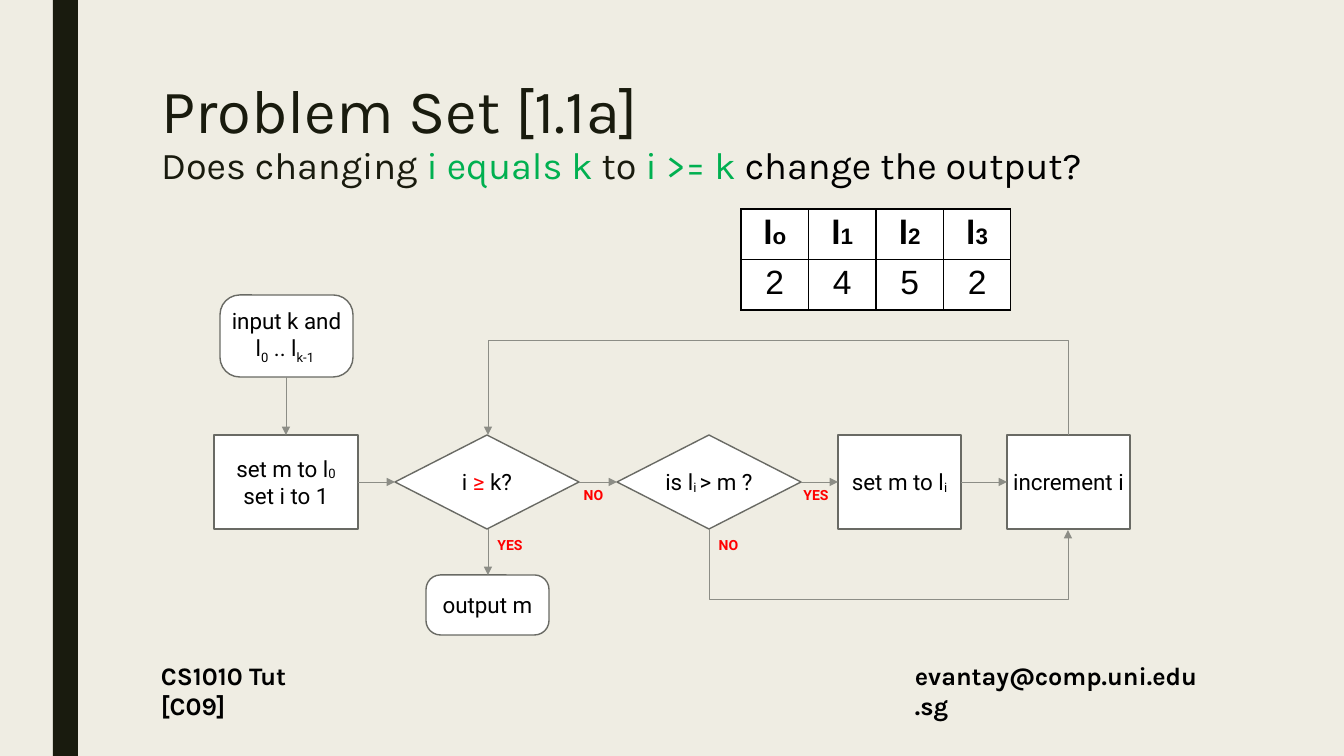
import pptx
import pptx.util
import pptx.oxml
import pptx.oxml.ns
from pptx.dml.color import RGBColor
from pptx.enum.shapes import MSO_CONNECTOR, MSO_SHAPE
from pptx.enum.text import MSO_ANCHOR, MSO_AUTO_SIZE, PP_ALIGN

PX_PER_INCH = 100.8
BACKGROUND = RGBColor(0xEF, 0xED, 0xE3)
DARK = RGBColor(0x19, 0x1B, 0x0E)
BLACK = RGBColor(0, 0, 0)
WHITE = RGBColor(0xFF, 0xFF, 0xFF)
OUTLINE = RGBColor(0x69, 0x6A, 0x64)
ARROW = RGBColor(0x8C, 0x8D, 0x86)
RED = RGBColor(0xFF, 0, 0)
GREEN = RGBColor(0, 0xB0, 0x50)


def px(n):
    return pptx.util.Emu(round(n * 914400 / PX_PER_INCH))


def box(*lengths):
    return [px(n) for n in lengths]


def add_run(p, text, size, font, color=BLACK, bold=False, baseline=0):
    r = p.add_run()
    r.text = text
    r.font.size = pptx.util.Pt(size)
    r.font.name = font
    r.font.color.rgb = color
    r.font.bold = bold
    if baseline:
        r._r.get_or_add_rPr().set("baseline", str(baseline * 1000))


def set_insets(tf, inset):
    tf.margin_left = tf.margin_right = px(inset)
    tf.margin_top = tf.margin_bottom = px(inset)


def add_title(s):
    title = s.shapes.title
    title.left, title.top, title.width, title.height = box(151, 76, 1058, 163)
    tf = title.text_frame
    tf.auto_size = MSO_AUTO_SIZE.NONE
    tf.vertical_anchor = MSO_ANCHOR.TOP
    p = tf.paragraphs[0]
    p.alignment = PP_ALIGN.LEFT
    p.line_spacing = 0.89
    add_run(p, "Problem Set [1.1a]", 44, "Karla", DARK)
    p.add_line_break()
    for text, color in (
        ("Does changing ", DARK),
        ("i equals k ", GREEN),
        ("to ", DARK),
        ("i >= k ", GREEN),
        ("change the output?", BLACK),
    ):
        add_run(p, text, 27, "Karla", color)


def add_footer(s, x, width, text):
    tf = s.shapes.add_textbox(*box(x, 655, width, 40)).text_frame
    tf.word_wrap = True
    tf.text = text
    font = tf.paragraphs[0].runs[0].font
    font.name = "Karla"
    font.size = pptx.util.Pt(18)
    font.bold = True
    font.color.rgb = BLACK


def add_step(s, kind, x, y, width, height, lines, wrap=False):
    sp = s.shapes.add_shape(kind, *box(x, y, width, height))
    sp.shadow.inherit = False
    sp.fill.solid()
    sp.fill.fore_color.rgb = WHITE
    sp.line.color.rgb = OUTLINE
    sp.line.width = pptx.util.Pt(1)
    if kind == MSO_SHAPE.ROUNDED_RECTANGLE:
        sp.adjustments[0] = 0.24
    tf = sp.text_frame
    tf.word_wrap = wrap
    tf.vertical_anchor = MSO_ANCHOR.MIDDLE
    set_insets(tf, 3)
    for i, parts in enumerate(lines):
        p = tf.add_paragraph() if i else tf.paragraphs[0]
        p.alignment = PP_ALIGN.CENTER
        for text, style in parts:
            add_run(p, text, 16, "Roboto", **style)


def add_label(s, x, y, width, text):
    tf = s.shapes.add_textbox(*box(x, y, width, 23)).text_frame
    tf.word_wrap = False
    tf.vertical_anchor = MSO_ANCHOR.MIDDLE
    set_insets(tf, 3)
    p = tf.paragraphs[0]
    p.alignment = PP_ALIGN.CENTER
    add_run(p, text, 10, "Roboto", RED, bold=True)


def style_arrow(sp):
    sp.line.color.rgb = ARROW
    sp.line.width = pptx.util.Pt(0.5)
    ln = sp.line._get_or_add_ln()
    tail = pptx.oxml.ns.qn("a:tailEnd")
    ln.append(ln.makeelement(tail, {"type": "triangle"}))


def add_arrow(s, x1, y1, x2, y2):
    cx = s.shapes.add_connector(MSO_CONNECTOR.STRAIGHT, *box(x1, y1, x2, y2))
    style_arrow(cx)
    spPr = cx._element.spPr
    spPr.append(spPr.makeelement(pptx.oxml.ns.qn("a:effectLst"), {}))


def add_route(s, start, *bends):
    fb = s.shapes.build_freeform(*box(*start))
    fb.add_line_segments([box(*point) for point in bends], close=False)
    sp = fb.convert_to_shape()
    sp.shadow.inherit = False
    sp.fill.background()
    style_arrow(sp)


def set_borders(cell):
    tcPr = cell._tc.get_or_add_tcPr()
    for side in ("lnL", "lnR", "lnT", "lnB"):
        tcPr.append(pptx.oxml.parse_xml(
            f'<a:{side} {pptx.oxml.ns.nsdecls("a")} w="12700"><a:solidFill>'
            f'<a:srgbClr val="{BLACK}"/></a:solidFill></a:{side}>'))


def add_list_table(s, indexes, values):
    table = s.shapes.add_table(
        2, len(values), *box(741, 209, 270, 101)).table
    table.first_row = False
    table.horz_banding = False
    for col, (index, value) in enumerate(zip(indexes, values)):
        for row in range(2):
            cell = table.cell(row, col)
            set_borders(cell)
            cell.fill.solid()
            cell.fill.fore_color.rgb = WHITE
            p = cell.text_frame.paragraphs[0]
            p.alignment = PP_ALIGN.CENTER
            if row == 0:
                add_run(p, "l", 24, "Arial", bold=True)
                add_run(p, index, 16, "Arial", bold=True)
            else:
                add_run(p, value, 24, "Arial")


def add_flowchart(s):
    rect, diamond = MSO_SHAPE.RECTANGLE, MSO_SHAPE.DIAMOND
    rounded = MSO_SHAPE.ROUNDED_RECTANGLE
    plain, low, sub = {}, {"baseline": -6}, {"baseline": -25}
    top, height, middle = 435, 94, 482

    add_step(s, rounded, 220, 295, 133, 82, [[
        ("input k and l", plain), ("0", sub),
        (" .. l", plain), ("k-1 ", sub)]], wrap=True)
    add_step(s, rounded, 426, 575, 123, 60, [[("output m", plain)]])
    for kind, x, width, lines in (
        (rect, 214, 144, [[("set m to l", plain), ("0", low)],
                          [("set i to 1", plain)]]),
        (diamond, 395, 184, [[("i ", plain), ("≥", {"color": RED}),
                              (" k?", plain)]]),
        (diamond, 617, 184, [[("is l", plain), ("i ", low),
                              ("> m ?", plain)]]),
        (rect, 838, 123, [[("set m to l", plain), ("i", low)]]),
        (rect, 1007, 123, [[("increment i", plain)]]),
    ):
        add_step(s, kind, x, top, width, height, lines)

    for x1, x2 in ((358, 395), (579, 617), (801, 838), (961, 1007)):
        add_arrow(s, x1, middle, x2, middle)
    add_arrow(s, 286, 377, 286, top)
    add_arrow(s, 488, top + height, 488, 575)
    add_route(s, (709, 529), (709, 599), (1068, 599), (1068, 530))
    add_route(s, (1068, top), (1068, 340), (488, 340), (488, top))

    for x, y, width, text in (
        (493, 533, 34, "YES"),
        (799, 483, 34, "YES"),
        (580, 483, 27, "NO"),
        (715, 533, 27, "NO"),
    ):
        add_label(s, x, y, width, text)


def main():
    prs = pptx.Presentation()
    prs.slide_width, prs.slide_height = box(1344, 756)
    s = prs.slides.add_slide(prs.slide_layouts[5])
    s.background.fill.solid()
    s.background.fill.fore_color.rgb = BACKGROUND
    bar = s.shapes.add_shape(MSO_SHAPE.RECTANGLE, *box(53, 0, 25, 756))
    bar.shadow.inherit = False
    bar.fill.solid()
    bar.fill.fore_color.rgb = DARK
    bar.line.fill.background()
    add_title(s)
    add_footer(s, 151, 212, "CS1010 Tut [C09]")
    add_footer(s, 905, 304, "evantay@comp.uni.edu.sg")
    add_flowchart(s)
    add_list_table(s, "o123", "2452")
    prs.save("out.pptx")


if __name__ == "__main__":
    main()
